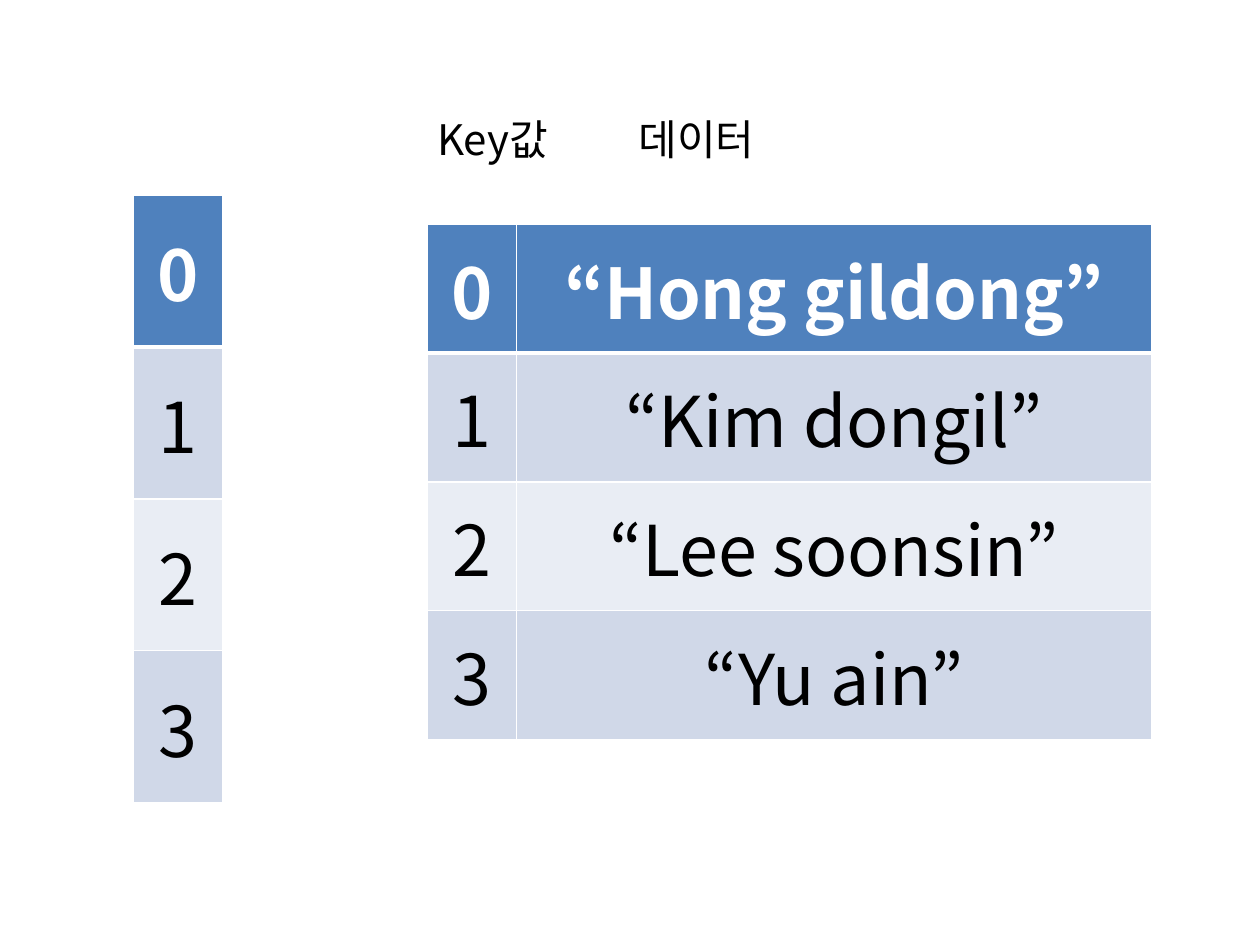
from lxml.etree import SubElement
from pptx import Presentation
from pptx.dml.color import RGBColor
from pptx.enum.text import MSO_ANCHOR as Anchor, PP_ALIGN as Align
from pptx.oxml.ns import qn
from pptx.util import Inches, Pt

COLORS = {"header": "4F81BD", "odd": "D0D8E8", "even": "E9EDF4",
          "line": "FFFFFF", "light": "FFFFFF", "dark": "000000"}
FONT = "Noto Sans CJK KR"
COLUMNS, ROWS = 100, 75


def write_text(frame, text, size=24, color="dark", bold=False, align=Align.LEFT):
    paragraph = frame.paragraphs[0]
    paragraph.alignment = align
    run = paragraph.add_run()
    run.text = text
    run.font.name = FONT
    run.font.size = Pt(size)
    run.font.bold = bold
    run.font.color.rgb = RGBColor.from_string(COLORS[color])
    SubElement(run.font._element, qn("a:ea"), typeface=FONT)
    return paragraph


class SlideBuilder:
    def __init__(self, presentation):
        self.width = presentation.slide_width
        self.height = presentation.slide_height
        self.slide = presentation.slides.add_slide(presentation.slide_layouts[6])

    def across(self, columns):
        return round(self.width * columns / COLUMNS)

    def down(self, rows):
        return round(self.height * rows / ROWS)

    def box(self, left, top, width, height):
        return self.across(left), self.down(top), self.across(width), self.down(height)

    def labels(self, left, top, width, height, texts, stop):
        frame = self.slide.shapes.add_textbox(*self.box(left, top, width, height)).text_frame
        frame.word_wrap = True
        paragraph = write_text(frame, "\t".join(texts))
        tabs = SubElement(paragraph._p.get_or_add_pPr(), qn("a:tabLst"))
        SubElement(tabs, qn("a:tab"), pos=str(self.across(stop)), algn="l")

    def borders(self, cell, top, bottom):
        properties = cell._tc.get_or_add_tcPr()
        for side, points in (("L", 1), ("R", 1), ("T", top), ("B", bottom)):
            line = SubElement(properties, qn(f"a:ln{side}"), w=str(Pt(points)))
            fill = SubElement(line, qn("a:solidFill"))
            SubElement(fill, qn("a:srgbClr"), val=COLORS["line"])

    def table(self, left, top, widths, height, records):
        shape = self.slide.shapes.add_table(
            len(records), len(widths), *self.box(left, top, sum(widths), height))
        table = shape.table
        for column, width in zip(table.columns, widths):
            column.width = self.across(width)
        for index, record in enumerate(records):
            table.rows[index].height = self.down(height / len(records))
            header = index == 0
            band = "header" if header else "odd" if index % 2 else "even"
            for column, text in enumerate(record):
                cell = table.cell(index, column)
                self.borders(cell, 3 if index == 1 else 1, 3 if header else 1)
                cell.fill.solid()
                cell.fill.fore_color.rgb = RGBColor.from_string(COLORS[band])
                cell.vertical_anchor = Anchor.MIDDLE
                write_text(cell.text_frame, text, size=40, bold=header, align=Align.CENTER,
                           color="light" if header else "dark")


presentation = Presentation()
presentation.slide_width, presentation.slide_height = Inches(10), Inches(7.5)
builder = SlideBuilder(presentation)

names = ["“Hong gildong”", "“Kim dongil”", "“Lee soonsin”", "“Yu ain”"]
entries = [(str(key), name) for key, name in enumerate(names)]
key_width = 7.1

builder.table(33.9, 17.8, [key_width, 50.4], 40.9, entries)
builder.labels(33.7, 8.5, 29.2, 5, ["Key값", "데이터"], stop=16)
builder.table(10.6, 15.5, [key_width], 48.2, [entry[:1] for entry in entries])

presentation.save("out.pptx")
